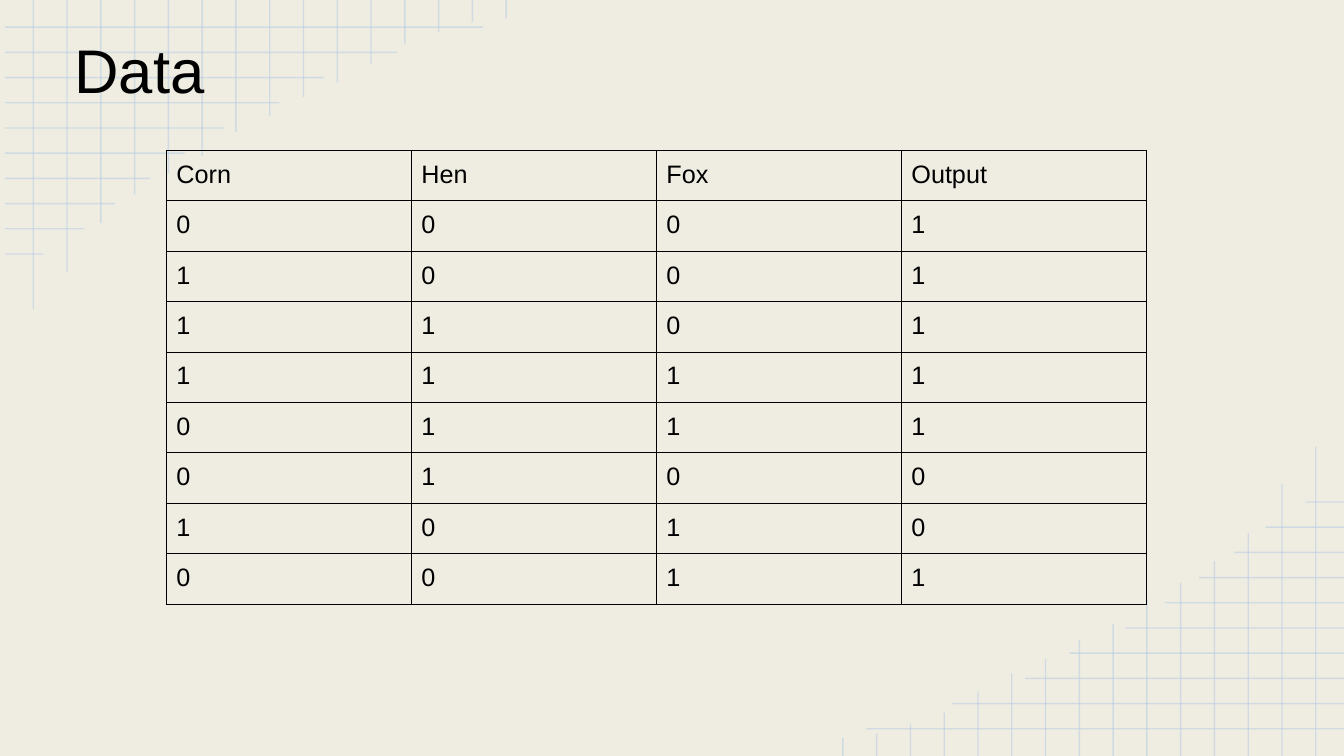
from dataclasses import dataclass

from lxml import etree
from pptx import Presentation
from pptx.dml.color import RGBColor
from pptx.enum.shapes import MSO_CONNECTOR
from pptx.enum.text import MSO_ANCHOR
from pptx.oxml.ns import qn
from pptx.util import Inches, Pt

STRAIGHT = MSO_CONNECTOR.STRAIGHT
MIDDLE = MSO_ANCHOR.MIDDLE


@dataclass(frozen=True)
class Theme:
    background: str = "EFEDE2"
    grid: str = "B7CCE4"
    ink: str = "000000"
    font: str = "Arial"
    title_size: float = 44
    cell_size: float = 18
    grid_width: float = 1
    border_width: float = 0.75
    grid_opacity: int = 54


THEME = Theme()
SLIDE_W, SLIDE_H = 13.33, 7.5
INSET = 0.1

# Corner grid: where each evenly spaced line ends
GRID_LEFT = 0.05
ROW_START, ROW_STEP = 0.27, 0.25
COLUMN_START, COLUMN_STEP = 0.33, 0.335
ROW_ENDS = [4.79, 3.94, 3.21, 2.77, 2.22, 1.83, 1.49, 1.14, 0.83, 0.43]
COLUMN_ENDS = [3.07, 2.7, 2.21, 1.93, 1.72, 1.55, 1.31, 1.15,
               0.96, 0.82, 0.64, 0.43, 0.32, 0.22, 0.18]

DATA = [
    ["Corn", "Hen", "Fox", "Output"],
    [0, 0, 0, 1],
    [1, 0, 0, 1],
    [1, 1, 0, 1],
    [1, 1, 1, 1],
    [0, 1, 1, 1],
    [0, 1, 0, 0],
    [1, 0, 1, 0],
    [0, 0, 1, 1],
]


def write_text(p, text, *, size, color=THEME.ink, spacing=None):
    """Write one formatted run into a paragraph."""
    p.line_spacing = spacing
    r = p.add_run()
    r.text = text
    r.font.name = THEME.font
    r.font.size = Pt(size)
    r.font.color.rgb = RGBColor.from_string(color)


def set_insets(box):
    box.margin_left = box.margin_right = Inches(INSET)
    box.margin_top = box.margin_bottom = Inches(INSET)


def add_grid_line(slide, x1, y1, x2, y2):
    line = slide.shapes.add_connector(
        STRAIGHT, Inches(x1), Inches(y1), Inches(x2), Inches(y2))
    line.line.width = Pt(THEME.grid_width)
    line.line.color.rgb = RGBColor.from_string(THEME.grid)
    sp_pr = line._element.spPr
    color = sp_pr.find(".//" + qn("a:srgbClr"))
    etree.SubElement(color, qn("a:alpha"), val=str(THEME.grid_opacity * 1000))
    etree.SubElement(sp_pr, qn("a:effectLst"))


def add_corner_grid(slide, turned=False):
    """Draw the top-left grid, or turn it half round into the bottom right."""
    def place(x, y):
        return (SLIDE_W + GRID_LEFT - x, SLIDE_H - y) if turned else (x, y)

    for i, end in enumerate(ROW_ENDS):
        y = ROW_START + i * ROW_STEP
        add_grid_line(slide, *place(GRID_LEFT, y), *place(end, y))
    for i, end in enumerate(COLUMN_ENDS):
        x = COLUMN_START + i * COLUMN_STEP
        add_grid_line(slide, *place(x, end), *place(x, 0))


def add_title(slide, text):
    box = slide.shapes.add_textbox(
        Inches(0.64), Inches(0), Inches(11.5), Inches(1.45))
    tf = box.text_frame
    tf.word_wrap = True
    tf.vertical_anchor = MIDDLE
    set_insets(tf)
    write_text(tf.paragraphs[0], text, size=THEME.title_size, spacing=0.9)


def set_borders(cell):
    """Outline all four sides; borders come before the fill in the XML."""
    tc_pr = cell._tc.get_or_add_tcPr()
    for i, side in enumerate(("lnL", "lnR", "lnT", "lnB")):
        ln = etree.Element(qn("a:" + side), w=str(Pt(THEME.border_width)))
        fill = etree.SubElement(ln, qn("a:solidFill"))
        etree.SubElement(fill, qn("a:srgbClr"), val=THEME.ink)
        tc_pr.insert(i, ln)


def add_data_table(slide, data, left, top, col_width, row_height):
    rows, cols = len(data), len(data[0])
    table = slide.shapes.add_table(
        rows, cols, Inches(left), Inches(top),
        Inches(cols * col_width), Inches(rows * row_height)).table
    table.first_row = table.horz_banding = False
    for column in table.columns:
        column.width = Inches(col_width)
    for row, values in zip(table.rows, data):
        row.height = Inches(row_height)
        for cell, value in zip(row.cells, values):
            cell.fill.background()
            set_borders(cell)
            set_insets(cell)
            write_text(cell.text_frame.paragraphs[0], str(value),
                       size=THEME.cell_size)


def main():
    prs = Presentation()
    prs.slide_width, prs.slide_height = Inches(SLIDE_W), Inches(SLIDE_H)
    slide = prs.slides.add_slide(prs.slide_layouts[6])

    # Background and corner grids
    fill = slide.background.fill
    fill.solid()
    fill.fore_color.rgb = RGBColor.from_string(THEME.background)
    add_corner_grid(slide)
    add_corner_grid(slide, turned=True)

    # Content
    add_title(slide, "Data")
    add_data_table(slide, DATA, left=1.65, top=1.49,
                   col_width=2.43, row_height=0.39)

    prs.save("out.pptx")


if __name__ == "__main__":
    main()
